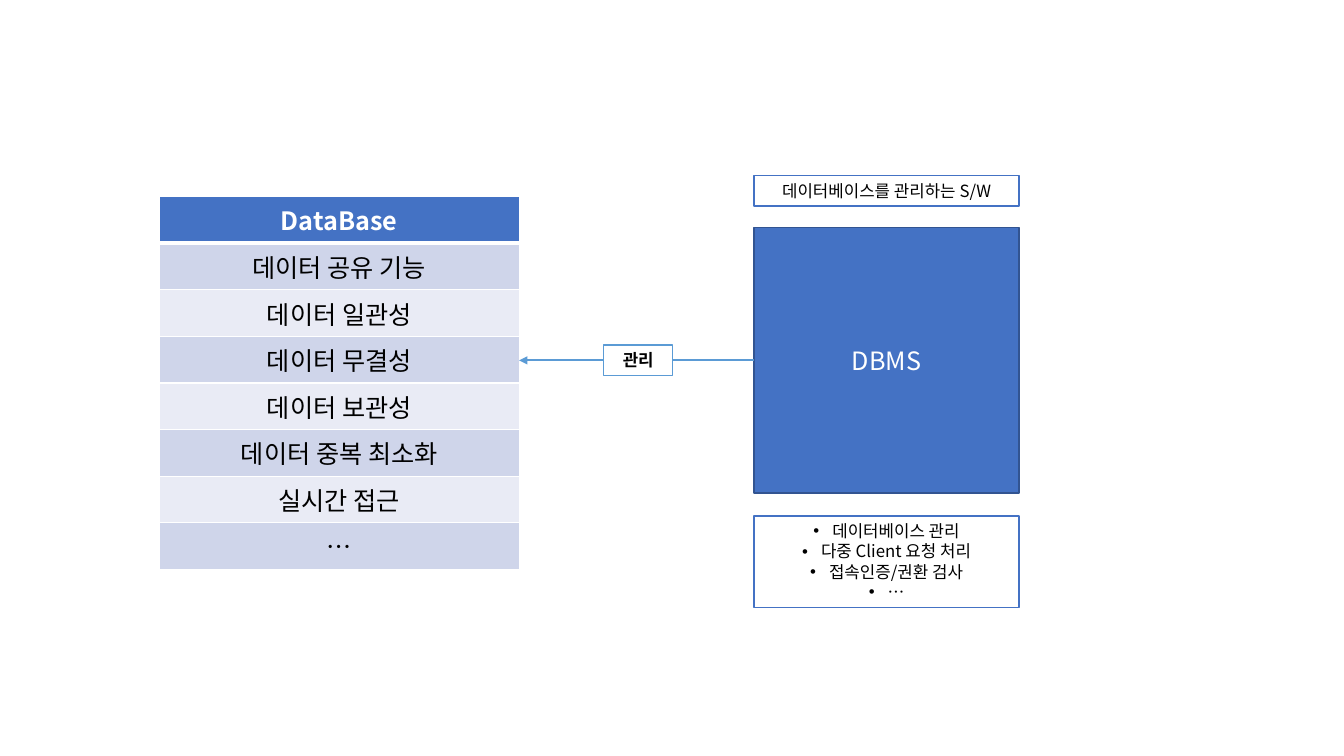
from lxml import etree
from pptx import Presentation
from pptx.dml.color import RGBColor
from pptx.enum.shapes import MSO_CONNECTOR, MSO_SHAPE
from pptx.enum.text import MSO_ANCHOR, PP_ALIGN
from pptx.oxml.ns import qn
from pptx.util import Pt

FEATURES = ["DataBase", "데이터 공유 기능", "데이터 일관성", "데이터 무결성",
            "데이터 보관성", "데이터 중복 최소화", "실시간 접근", "…"]
DBMS_ROLE = ["데이터베이스를 관리하는 S/W"]
DBMS_TASKS = ["데이터베이스 관리", "다중 Client 요청 처리", "접속인증/권환 검사", "…"]

FONT = "Noto Sans CJK KR"
COLORS = {"blue": "4472C4", "navy": "325491", "sky": "5B9BD5", "white": "FFFFFF",
          "black": "000000", "band_dark": "CFD5EA", "band_light": "E9EBF5"}

TABLE_LEFT, TABLE_TOP, TABLE_WIDTH, ROW_HEIGHT = 113.8, 140.4, 257, 29.2
DBMS_LEFT, DBMS_TOP, DBMS_SIZE = 538.6, 162.7, 189.4
ARROW_Y = DBMS_TOP + DBMS_SIZE / 2
LABEL_LEFT, LABEL_WIDTH, LABEL_HEIGHT = 431.3, 49.2, 21.8
ROLE_TOP, TASKS_TOP, TASKS_HEIGHT = 125.3, 368.6, 65.4
BULLET_INDENT = 13.5


def rgb(name):
    """Return the named colour."""
    return RGBColor.from_string(COLORS[name])


def write(frame, lines, size, color, bold=False, bullets=False):
    """Fill a text frame with centred paragraphs."""
    for i, line in enumerate(lines):
        paragraph = frame.paragraphs[0] if i == 0 else frame.add_paragraph()
        paragraph.alignment = PP_ALIGN.CENTER
        run = paragraph.add_run()
        run.text = line
        font = run.font
        font.name, font.size, font.bold = FONT, Pt(size), bold
        font.color.rgb = rgb(color)
        latin = run._r.get_or_add_rPr().find(qn("a:latin"))
        east_asian = etree.Element(qn("a:ea"), typeface=FONT)
        latin.addnext(east_asian)
        if bullets:
            properties = paragraph._p.get_or_add_pPr()
            properties.set("marL", str(Pt(BULLET_INDENT)))
            properties.set("indent", str(-Pt(BULLET_INDENT)))
            etree.SubElement(properties, qn("a:buFont"), typeface="Arial")
            etree.SubElement(properties, qn("a:buChar"), char="•")


def add_box(slide, bounds, lines, fill="white", line="blue", size=12,
            color="black", anchor=MSO_ANCHOR.TOP, **style):
    """Add an outlined rectangle with text."""
    box = slide.shapes.add_shape(MSO_SHAPE.RECTANGLE, *map(Pt, bounds))
    box.shadow.inherit = False
    box.fill.solid()
    box.fill.fore_color.rgb = rgb(fill)
    box.line.color.rgb = rgb(line)
    box.line.width = Pt(1)
    box.text_frame.word_wrap = True
    box.text_frame.vertical_anchor = anchor
    write(box.text_frame, lines, size, color, **style)


def set_borders(cell, widths):
    """Give a cell white borders, from a dict of side to width."""
    properties = cell._tc.get_or_add_tcPr()
    for side, width in widths.items():
        border = etree.SubElement(properties, qn("a:ln" + side), w=str(Pt(width)))
        fill = etree.SubElement(border, qn("a:solidFill"))
        etree.SubElement(fill, qn("a:srgbClr"), val=COLORS["white"])


def add_feature_table(slide):
    """Add the one-column database table with banded rows."""
    count = len(FEATURES)
    table = slide.shapes.add_table(
        count, 1, Pt(TABLE_LEFT), Pt(TABLE_TOP),
        Pt(TABLE_WIDTH), Pt(ROW_HEIGHT * count)).table
    for i, feature in enumerate(FEATURES):
        header = i == 0
        cell = table.cell(i, 0)
        set_borders(cell, {"L": 1, "R": 1, "T": 3 if i == 1 else 1,
                           "B": 3 if header else 1})
        cell.fill.solid()
        band = "band_dark" if i % 2 else "band_light"
        cell.fill.fore_color.rgb = rgb("blue" if header else band)
        write(cell.text_frame, [feature], 18,
              "white" if header else "black", bold=header)


def add_arrow(slide):
    """Add the arrow from the DBMS to the table."""
    arrow = slide.shapes.add_connector(
        MSO_CONNECTOR.STRAIGHT, Pt(DBMS_LEFT), Pt(ARROW_Y),
        Pt(TABLE_LEFT + TABLE_WIDTH), Pt(ARROW_Y))
    arrow.line.color.rgb = rgb("sky")
    arrow.line.width = Pt(1.5)
    etree.SubElement(arrow.line._get_or_add_ln(), qn("a:tailEnd"), type="triangle")
    etree.SubElement(arrow._element.spPr, qn("a:effectLst"))


def main():
    """Build and save the slide."""
    deck = Presentation()
    deck.slide_width, deck.slide_height = Pt(960), Pt(540)
    slide = deck.slides.add_slide(deck.slide_layouts[6])
    add_feature_table(slide)
    add_box(slide, (DBMS_LEFT, DBMS_TOP, DBMS_SIZE, DBMS_SIZE), ["DBMS"],
            fill="blue", line="navy", size=18, color="white",
            anchor=MSO_ANCHOR.MIDDLE)
    add_arrow(slide)
    add_box(slide, (LABEL_LEFT, ARROW_Y - LABEL_HEIGHT / 2, LABEL_WIDTH, LABEL_HEIGHT),
            ["관리"], line="sky", bold=True)
    add_box(slide, (DBMS_LEFT, ROLE_TOP, DBMS_SIZE, LABEL_HEIGHT), DBMS_ROLE)
    add_box(slide, (DBMS_LEFT, TASKS_TOP, DBMS_SIZE, TASKS_HEIGHT), DBMS_TASKS,
            bullets=True)
    deck.save("out.pptx")


main()
